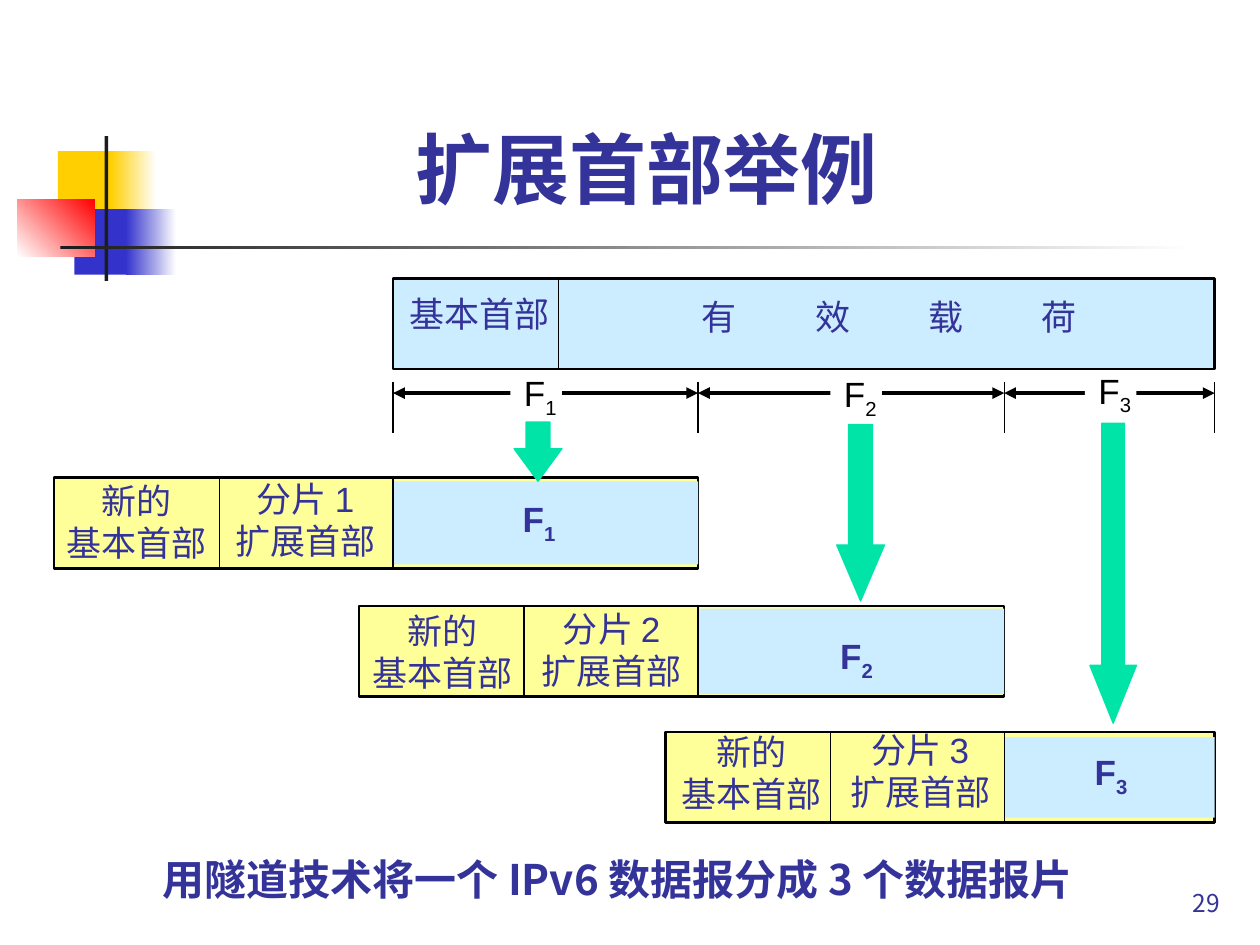
from dataclasses import dataclass
from itertools import pairwise
from typing import Optional

from lxml import etree
from pptx import Presentation
from pptx.dml.color import RGBColor
from pptx.enum.shapes import MSO_CONNECTOR, MSO_SHAPE
from pptx.enum.text import MSO_ANCHOR, PP_ALIGN
from pptx.oxml.ns import qn
from pptx.util import Inches, Pt

RECT, DOWN_ARROW = MSO_SHAPE.RECTANGLE, MSO_SHAPE.DOWN_ARROW
STRAIGHT = MSO_CONNECTOR.STRAIGHT
LEFT, CENTER, RIGHT = PP_ALIGN.LEFT, PP_ALIGN.CENTER, PP_ALIGN.RIGHT
TOP, BOTTOM = MSO_ANCHOR.TOP, MSO_ANCHOR.BOTTOM
LATIN, CJK = "Arial", "Noto Sans CJK JP"
BLACK, WHITE, CHARCOAL, NAVY = "000000", "FFFFFF", "1C1C1C", "333399"
SKY, CREAM, GREEN = "CCECFF", "FFFF99", "00E4A8"
GOLD, BLUE, RED = "FFCF01", "3333CC", "FF0000"
COLUMNS, ROWS = 100, 75
HEADER_COLS, BAR_ROWS = 13.1, 7.2
EXTENSION_COLS = 13.8
BAR_TOP, BAR_RIGHT = 22.1, 96.4
PIECE_MARKS = (31.2, 55.4, 79.7, BAR_RIGHT)

prs = Presentation()
prs.slide_width, prs.slide_height = Inches(10), Inches(7.5)
slide = prs.slides.add_slide(prs.slide_layouts[5])


@dataclass(frozen=True)
class Area:
    col: float
    row: float
    cols: float
    rows: float

    def emu(self) -> tuple[int, int, int, int]:
        return x(self.col), y(self.row), x(self.cols), y(self.rows)


@dataclass(frozen=True)
class Fragment:
    number: str
    row: float
    label_lift: float
    label_shift: float
    payload_inset: float
    payload_label: tuple[float, float]
    mark_label: tuple[float, float]
    arrow: Area
    arrow_shape: tuple[float, float]


@dataclass(frozen=True)
class Ornament:
    area: Area
    start: str
    end: Optional[str] = None
    angle: float = 0


def x(cols: float) -> int:
    return round(prs.slide_width * cols / COLUMNS)


def y(rows: float) -> int:
    return round(prs.slide_height * rows / ROWS)


def color(hex_code: str) -> RGBColor:
    return RGBColor.from_string(hex_code)


def draw_shape(area: Area, fill: Optional[str], line: Optional[str] = None,
               weight: float = 0.75, kind=RECT):
    shape = slide.shapes.add_shape(kind, *area.emu())
    shape.shadow.inherit = False
    if fill:
        shape.fill.solid()
        shape.fill.fore_color.rgb = color(fill)
    else:
        shape.fill.background()
    if line:
        shape.line.color.rgb = color(line)
        shape.line.width = Pt(weight)
    else:
        shape.line.fill.background()
    return shape


def draw_ornament(ornament: Ornament) -> None:
    shape = draw_shape(ornament.area, ornament.start)
    if ornament.end:
        shape.fill.gradient()
        shape.fill.gradient_angle = ornament.angle
        for stop, shade in zip(shape.fill.gradient_stops, (ornament.start, ornament.end)):
            stop.color.rgb = color(shade)


def draw_line(start: tuple[float, float], end: tuple[float, float],
              weight: float = 0.75, arrowheads: bool = False) -> None:
    line = slide.shapes.add_connector(STRAIGHT, x(start[0]), y(start[1]), x(end[0]), y(end[1]))
    line.line.color.rgb = color(BLACK)
    line.line.width = Pt(weight)
    if arrowheads:
        stroke = line.line._get_or_add_ln()
        for end_tag in ("a:headEnd", "a:tailEnd"):
            etree.SubElement(stroke, qn(end_tag), type="triangle")
    etree.SubElement(line._element.spPr, qn("a:effectLst"))


def write(text: str, area: Area, *, holder=None, size: float = 20, font: str = LATIN,
          shade: str = NAVY, bold: bool = False, align=LEFT, anchor=TOP,
          wrap: bool = False, subscript: str = "", tab_cols: tuple[float, ...] = ()) -> None:
    box = holder or slide.shapes.add_textbox(0, 0, 0, 0)
    box.left, box.top, box.width, box.height = area.emu()
    frame = box.text_frame
    frame.word_wrap, frame.vertical_anchor = wrap, anchor
    for index, content in enumerate(text.split("\n")):
        paragraph = frame.add_paragraph() if index else frame.paragraphs[0]
        paragraph.alignment = align
        if tab_cols:
            tabs = etree.SubElement(paragraph._p.get_or_add_pPr(), qn("a:tabLst"))
            for stop in tab_cols:
                etree.SubElement(tabs, qn("a:tab"), pos=str(x(stop)), algn="l")
        for part in filter(None, (content, subscript)):
            run = paragraph.add_run()
            run.text = part
            run.font.size, run.font.bold, run.font.name = Pt(size), bold, font
            run.font.color.rgb = color(shade)
            etree.SubElement(run._r.get_or_add_rPr(), qn("a:ea"), typeface=CJK)
            if part is subscript:
                run._r.get_or_add_rPr().set("baseline", "-25000")


def draw_mark(fragment: Fragment) -> None:
    col, row = fragment.mark_label
    draw_shape(Area(col - 0.1, row + 0.8, 4.1, 4), WHITE)
    write("F", Area(col, row, 4.6, 4.8), shade=BLACK, subscript=fragment.number)


def draw_fragment(fragment: Fragment, start: float, end: float) -> None:
    left = start - HEADER_COLS - EXTENSION_COLS
    divider, inset = left + HEADER_COLS, fragment.payload_inset
    draw_shape(Area(left, fragment.row, end - left, BAR_ROWS), CREAM, BLACK, 1.5)
    draw_shape(Area(start, fragment.row + inset, end - start, BAR_ROWS - 2 * inset), SKY)
    for col in (divider, start):
        draw_line((col, fragment.row), (col, fragment.row + BAR_ROWS))
    label_col, label_row = left + fragment.label_shift, fragment.row - fragment.label_lift
    write("新的\n基本首部", Area(label_col, label_row, HEADER_COLS, 7.7), align=CENTER)
    write(f"分片 {fragment.number}\n扩展首部",
          Area(label_col + 13.4, label_row - 0.2, HEADER_COLS, 7.7), align=CENTER)
    write("F", Area(*fragment.payload_label, 4.6, 4.8), bold=True, subscript=fragment.number)


def draw_arrow(fragment: Fragment) -> None:
    arrow = draw_shape(fragment.arrow, GREEN, GREEN, kind=DOWN_ARROW)
    for index, ratio in enumerate(fragment.arrow_shape):
        arrow.adjustments[index] = ratio


ORNAMENTS = (
    Ornament(Area(4.6, 12, 4.8, 5.2), GOLD),
    Ornament(Area(8.8, 12, 3.6, 5.2), GOLD, WHITE),
    Ornament(Area(5.9, 16.6, 4.6, 5.2), BLUE),
    Ornament(Area(10, 16.6, 4, 5.2), BLUE, WHITE),
    Ornament(Area(1.4, 15.8, 6.1, 4.6), WHITE, RED, 45),
    Ornament(Area(8.3, 10.8, 0.3, 11.5), CHARCOAL),
    Ornament(Area(4.8, 19.5, 90, 0.3), CHARCOAL, WHITE),
)
FRAGMENTS = (
    Fragment("1", 37.9, 0.3, 0, 0.3, (40.5, 39), (40.6, 29),
             Area(40.8, 33.5, 3.8, 4.7), (0.5, 0.68)),
    Fragment("2", 48.1, 0.2, 0.1, 0.2, (65.7, 49.9), (66, 29.1),
             Area(66.4, 33.7, 3.8, 14), (0.5, 1.17)),
    Fragment("3", 58.1, 0.6, 0.3, 0.4, (85.9, 59.1), (86.2, 28.8),
             Area(86.5, 33.6, 3.7, 23.8), (0.49, 1.24)),
)

for ornament in ORNAMENTS:
    draw_ornament(ornament)

write("扩展首部举例", Area(11.1, 9.2, 80.5, 8.3), holder=slide.shapes.title, size=44,
      font=CJK, bold=True, align=CENTER, anchor=BOTTOM, wrap=True)

datagram = Area(PIECE_MARKS[0], BAR_TOP, BAR_RIGHT - PIECE_MARKS[0], BAR_ROWS)
draw_shape(datagram, SKY, BLACK, 1.5)
header_end = datagram.col + HEADER_COLS
draw_line((header_end, BAR_TOP), (header_end, BAR_TOP + BAR_ROWS))
write("基本首部", Area(31.5, 22.7, HEADER_COLS, 4.4))
write("有\t效\t载\t荷", Area(54.7, 23, 31.8, 4.4), tab_cols=(9, 18, 27))

for mark in PIECE_MARKS:
    draw_line((mark, 30.3), (mark, 34.4))
for start, end in pairwise(PIECE_MARKS):
    draw_line((start, 31.2), (end, 31.2), 2.25, arrowheads=True)
for fragment, (start, end) in zip(FRAGMENTS, pairwise(PIECE_MARKS)):
    draw_mark(fragment)
    draw_fragment(fragment, start, end)
for fragment in FRAGMENTS:
    draw_arrow(fragment)

write("用隧道技术将一个 IPv6 数据报分成 3 个数据报片", Area(6.4, 65.2, 85.2, 7), size=24,
      font=CJK, bold=True, align=CENTER, anchor=BOTTOM, wrap=True)
write("29", Area(77, 68.3, 20.8, 5), size=14, font=CJK, align=RIGHT, anchor=BOTTOM, wrap=True)

prs.save("out.pptx")
